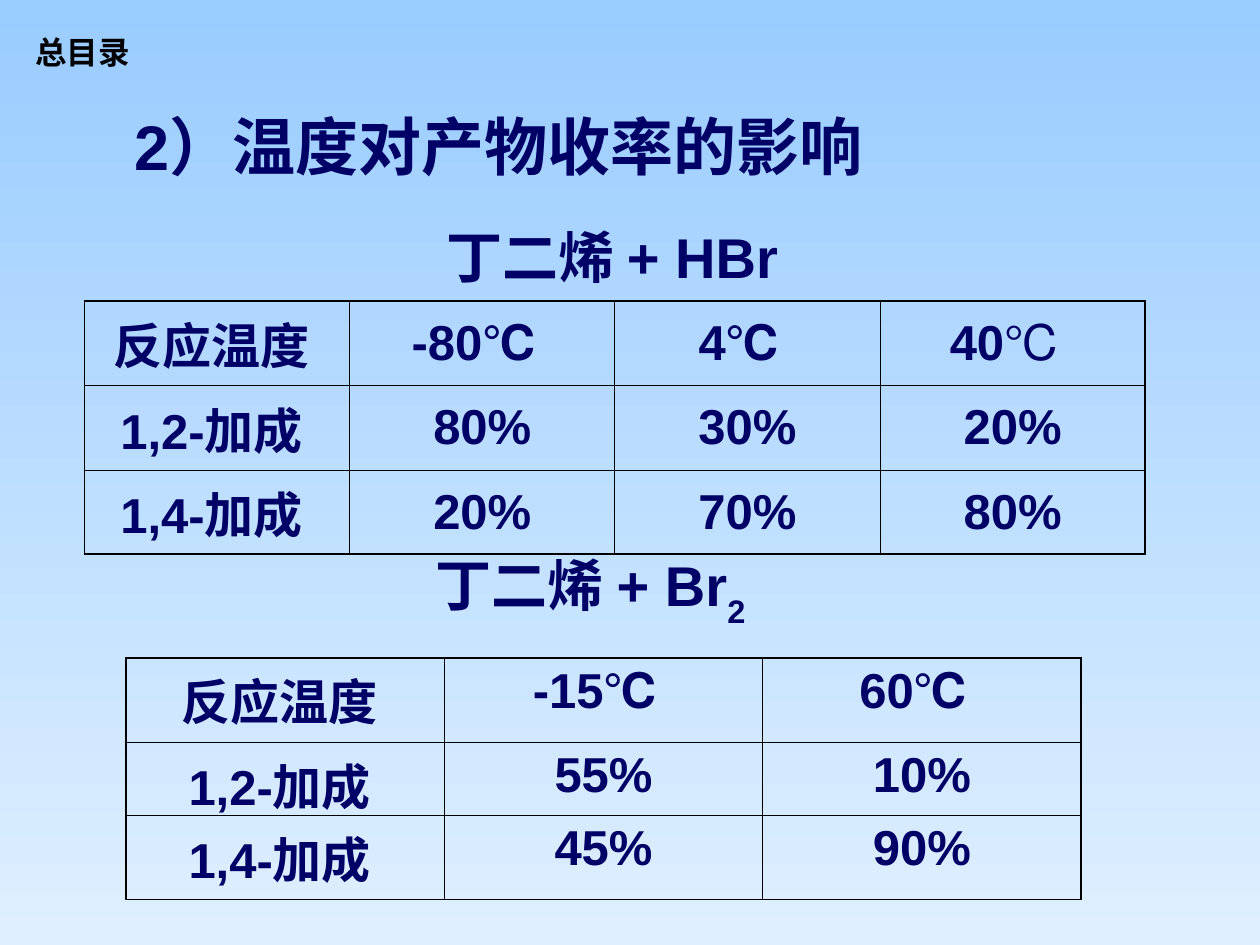
import pptx
import pptx.util
import pptx.dml.color
import pptx.enum.text
import pptx.oxml.ns
import lxml.etree

Inches = pptx.util.Inches
Pt = pptx.util.Pt
ALIGN = pptx.enum.text.PP_ALIGN
ANCHOR = pptx.enum.text.MSO_ANCHOR
NAVY = pptx.dml.color.RGBColor(0x00, 0x00, 0x66)
BLACK = pptx.dml.color.RGBColor(0x00, 0x00, 0x00)
SKY = pptx.dml.color.RGBColor(0x99, 0xCC, 0xFF)
PALE = pptx.dml.color.RGBColor(0xDF, 0xEF, 0xFF)
OUTER, INNER = Pt(1.08), Pt(0.45)


def format_run(span, size, color=NAVY, font="Arial", bold=True):
    span.font.size = Pt(size)
    span.font.color.rgb = color
    span.font.name = font
    span.font.bold = bold


def add_border(cell, side, width):
    properties = cell._tc.get_or_add_tcPr()
    qn = pptx.oxml.ns.qn
    line = lxml.etree.SubElement(properties, qn("a:ln" + side), w=str(int(width)))
    fill = lxml.etree.SubElement(line, qn("a:solidFill"))
    lxml.etree.SubElement(fill, qn("a:srgbClr"), val=str(BLACK))


deck = pptx.Presentation()
deck.slide_width = Inches(10)
deck.slide_height = Inches(7.5)
page = deck.slides.add_slide(deck.slide_layouts[5])

background = page.background.fill
background.gradient()
background.gradient_angle = 270
for stop, color in zip(background.gradient_stops, (SKY, PALE)):
    stop.color.rgb = color
for stop, position in zip(background.gradient_stops, (0, 1)):
    stop.position = position

title = page.shapes.title
title.left, title.top = Inches(0.97), Inches(0.67)
title.width, title.height = Inches(8.52), Inches(0.96)
title.text_frame.text = "2）温度对产物收率的影响"
title.text_frame.vertical_anchor = ANCHOR.MIDDLE
title.text_frame.paragraphs[0].alignment = ALIGN.LEFT
format_run(title.text_frame.paragraphs[0].runs[0], 36)

captions = [
    ("总目录", 0.18, 0.21, 0.95, 0.4, 18, BLACK, "Lato", ALIGN.LEFT, ANCHOR.TOP, False),
    ("丁二烯 + HBr ", 0.67, 1.72, 8.5, 0.67, 32, NAVY, "Arial", ALIGN.CENTER, ANCHOR.TOP, True),
    ("丁二烯 + Br", 3.36, 4.32, 2.88, 0.73, 32, NAVY, "Arial", ALIGN.LEFT, ANCHOR.BOTTOM, False),
]
for text, left, top, width, height, size, color, font, align, anchor, wrap in captions:
    box = page.shapes.add_textbox(Inches(left), Inches(top), Inches(width), Inches(height))
    box.text_frame.text = text
    box.text_frame.word_wrap = wrap
    box.text_frame.vertical_anchor = anchor
    para = box.text_frame.paragraphs[0]
    para.alignment = align
    format_run(para.runs[0], size, color, font)

subscript = para.add_run()
subscript.text = "2"
format_run(subscript, 32)
subscript.font._element.set("baseline", "-30000")

tables = [
    (0.67, 2.39, 8.42, (0.67, 0.67, 0.67), ANCHOR.MIDDLE, [
        ["反应温度 ", "-80℃ ", "4℃ ", "40"],
        ["1,2-加成 ", "80%", "30%", "20%"],
        ["1,4-加成 ", "20%", "70%", "80%"],
    ]),
    (1, 5.22, 7.58, (0.67, 0.58, 0.67), ANCHOR.TOP, [
        ["反应温度 ", "-15℃ ", "60℃ "],
        ["1,2-加成 ", "55%", "10%"],
        ["1,4-加成 ", "45%", "90%"],
    ]),
]
grids = []
for left, top, width, heights, anchor, rows in tables:
    last_row, last_column = len(rows) - 1, len(rows[0]) - 1
    grid = page.shapes.add_table(
        len(rows), len(rows[0]), Inches(left), Inches(top), Inches(width), Inches(sum(heights))
    ).table
    grid.first_row = False
    grid.horz_banding = False
    grids.append(grid)
    for row_index, values in enumerate(rows):
        grid.rows[row_index].height = Inches(heights[row_index])
        for column_index, value in enumerate(values):
            cell = grid.cell(row_index, column_index)
            cell.text_frame.text = value
            cell.vertical_anchor = anchor
            para = cell.text_frame.paragraphs[0]
            para.alignment = ALIGN.CENTER
            format_run(para.runs[0], 28)
            edges = {
                "L": column_index == 0,
                "R": column_index == last_column,
                "T": row_index == 0,
                "B": row_index == last_row,
            }
            for side, is_outer in edges.items():
                add_border(cell, side, OUTER if is_outer else INNER)
            cell.fill.background()

degree = grids[0].cell(0, 3).text_frame.paragraphs[0].add_run()
degree.text = "℃ "
format_run(degree, 28, bold=False)

deck.save("out.pptx")
